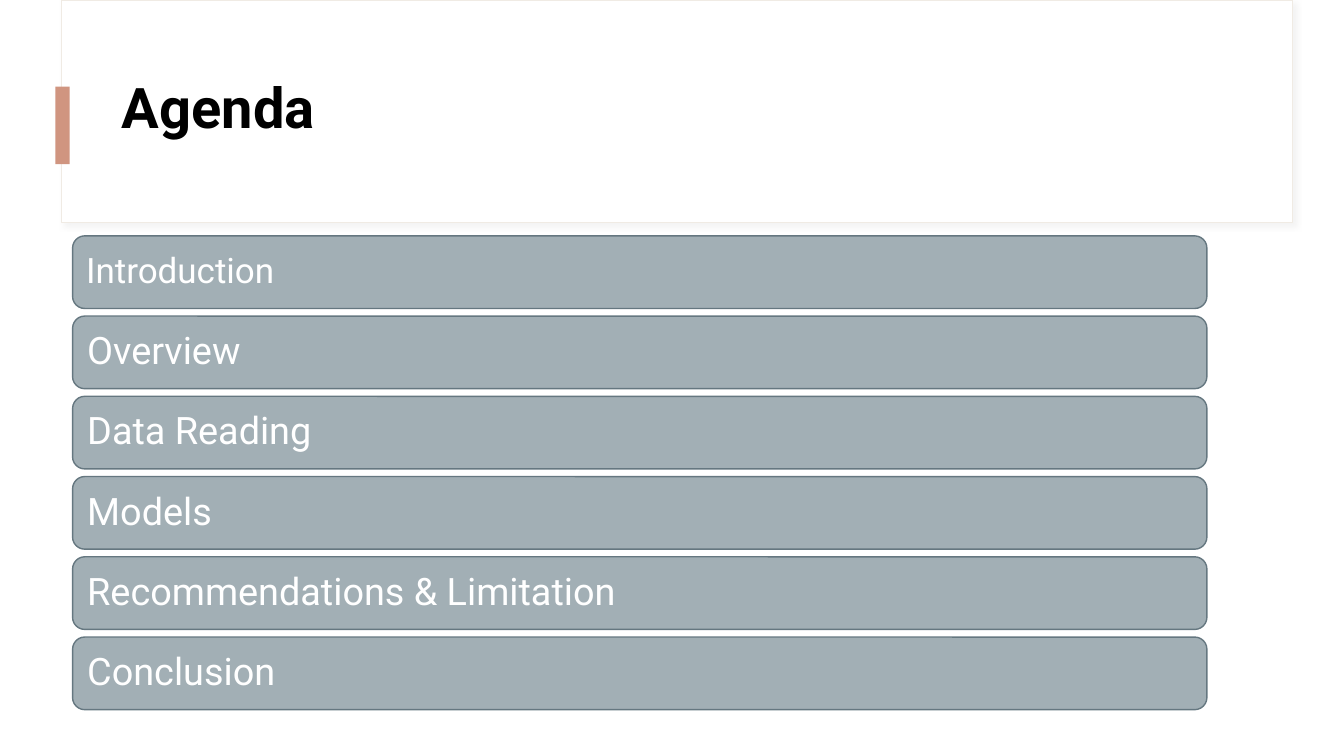
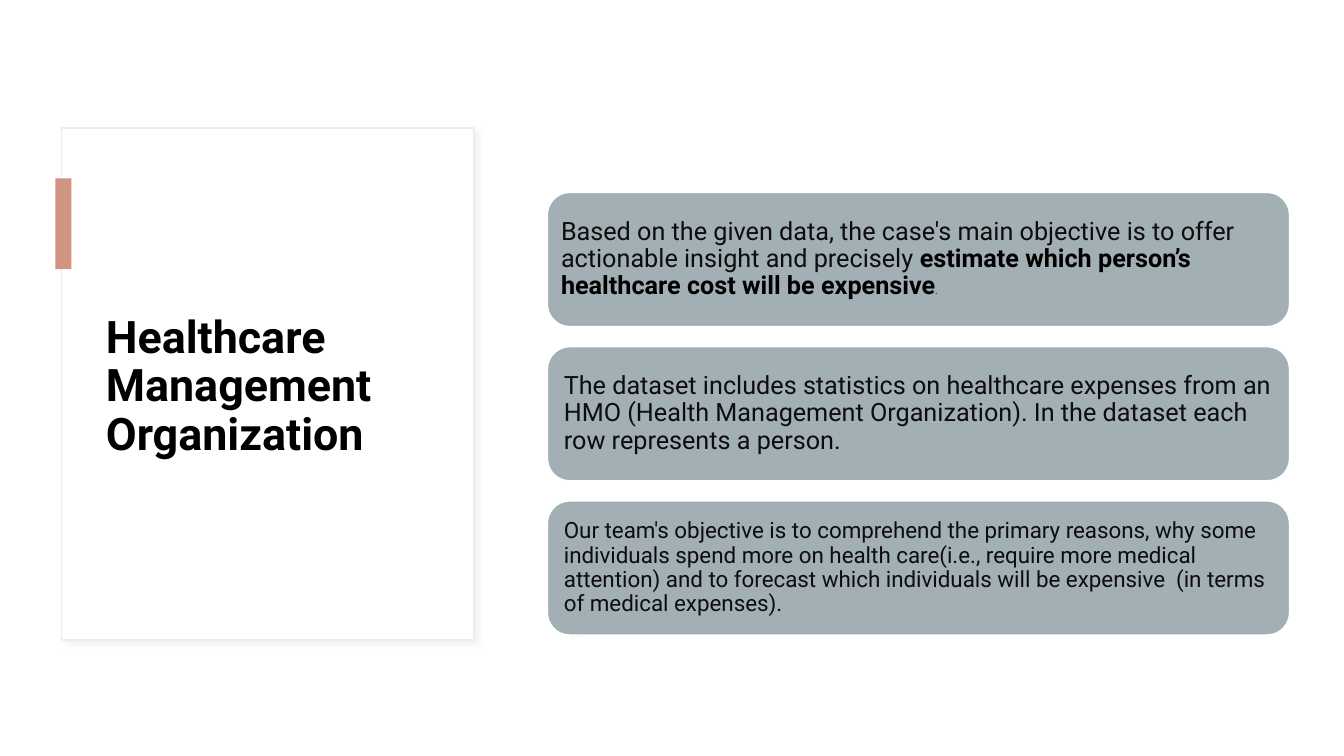
from dataclasses import dataclass

from lxml import etree
from pptx import Presentation
from pptx.dml.color import RGBColor
from pptx.enum.shapes import MSO_SHAPE as SHAPE
from pptx.enum.text import MSO_ANCHOR as ANCHOR, MSO_AUTO_SIZE as AUTO_SIZE, PP_ALIGN as ALIGN
from pptx.oxml.ns import qn
from pptx.util import Inches, Pt


@dataclass(frozen=True)
class Theme:
    font: str = "Roboto"
    white: str = "FFFFFF"
    black: str = "000000"
    body: str = "0D0D0D"
    accent: str = "D09580"
    panel_line: str = "F0EBE4"
    shadow: str = "D9D9D9"
    bar: str = "A2AFB5"
    bar_line: str = "657780"
    title_size: int = 40
    side_title_size: int = 32
    agenda_size: int = 27
    agenda_first_size: int = 25
    card_size: int = 18
    card_small_size: int = 16
    full_stop_size: int = 5


T = Theme()

AGENDA = ["Introduction", "Overview", "Data Reading", "Models",
          "Recommendations & Limitation", "Conclusion"]

# Each card: inset, text size, runs as (text, format overrides)
CARDS = [
    (0.07, T.card_size, [
        ("Based on the given data, the case's main objective is to offer "
         "actionable insight and precisely ", {}),
        ("estimate which person’s healthcare cost will be expensive",
         {"color": T.black, "bold": True}),
        (".", {"color": T.black, "bold": True, "size": T.full_stop_size})]),
    (0.1, T.card_size, [
        ("The dataset includes statistics on healthcare expenses from an HMO "
         "(Health Management Organization). In the dataset each row represents "
         "a person.", {})]),
    (0.1, T.card_small_size, [
        ("Our team's objective is to comprehend the primary reasons, why some "
         "individuals spend more on health care(i.e., require more medical "
         "attention) and to forecast which individuals will be expensive  "
         "(in terms of medical expenses).", {})]),
]


# Text
def write(shape, runs, *, size, color, bold=False, anchor=ANCHOR.MIDDLE, inset=None):
    """Fill a shape with one left-aligned paragraph of (text, overrides) runs."""
    tf = shape.text_frame
    tf.word_wrap = True
    tf.auto_size = AUTO_SIZE.NONE
    tf.vertical_anchor = anchor
    if inset is not None:
        tf.margin_left = tf.margin_right = Inches(inset)
        tf.margin_top = tf.margin_bottom = Inches(inset)
    p = tf.paragraphs[0]
    p.alignment = ALIGN.LEFT
    p.line_spacing = 0.9
    for text, overrides in runs:
        style = {"size": size, "color": color, "bold": bold, **overrides}
        r = p.add_run()
        r.text = text
        r.font.name = T.font
        r.font.size = Pt(style["size"])
        r.font.bold = style["bold"]
        r.font.color.rgb = RGBColor.from_string(style["color"])


def add_title(s, text, box, **style):
    """Place the title placeholder in front of what is already drawn."""
    title = s.shapes.title
    title.left, title.top, title.width, title.height = map(Inches, box)
    write(title, [(text, {})], color=T.black, bold=True, **style)
    s.shapes.element.append(title.element)


# Shapes
def add_box(s, box, fill, *, kind=SHAPE.RECTANGLE, line=None, line_width=1):
    sp = s.shapes.add_shape(kind, *map(Inches, box))
    sp.shadow.inherit = False
    sp.fill.solid()
    sp.fill.fore_color.rgb = RGBColor.from_string(fill)
    if line:
        sp.line.color.rgb = RGBColor.from_string(line)
        sp.line.width = Pt(line_width)
    else:
        sp.line.fill.background()
    return sp


def add_soft_shadow(sp):
    effects = sp.element.spPr.find(qn("a:effectLst"))
    shadow = etree.SubElement(effects, qn("a:outerShdw"), blurRad=str(Pt(4)),
                              dist=str(Pt(3)), dir=str(45 * 60000), rotWithShape="0")
    color = etree.SubElement(shadow, qn("a:srgbClr"), val=T.shadow)
    etree.SubElement(color, qn("a:alpha"), val="30000")


def add_panel(s, panel, marker, line_width):
    """White title panel with a soft shadow and the accent marker on its edge."""
    add_soft_shadow(add_box(s, panel, T.white, line=T.panel_line, line_width=line_width))
    add_box(s, marker, T.accent)


def add_bar(s, box, runs, *, line, **style):
    sp = add_box(s, box, T.bar, kind=SHAPE.ROUNDED_RECTANGLE, line=line)
    write(sp, runs, **style)


# Slides
def new_slide(prs):
    return prs.slides.add_slide(prs.slide_layouts[5])


def agenda_slide(prs):
    s = new_slide(prs)
    add_panel(s, (0.61, 0, 12.21, 2.21), (0.55, 0.86, 0.14, 0.77), 0.75)
    add_title(s, "Agenda", (1.11, 0.45, 11.12, 1.29), size=T.title_size)
    first, last = 2.34, 6.32
    pitch = (last - first) / (len(AGENDA) - 1)
    for i, item in enumerate(AGENDA):
        size, inset = (T.agenda_size, 0.11) if i else (T.agenda_first_size, 0.1)
        add_bar(s, (0.72, first + i * pitch, 11.25, 0.72), [(item, {})],
                line=T.bar_line, size=size, color=T.white, inset=inset)


def organization_slide(prs):
    s = new_slide(prs)
    add_panel(s, (0.61, 1.27, 4.09, 5.08), (0.55, 1.77, 0.16, 0.9), 1)
    add_title(s, "Healthcare Management Organization", (0.95, 3.07, 3.39, 2.65),
              size=T.side_title_size, anchor=ANCHOR.TOP)
    height, gap = 1.33, 0.2
    for i, (inset, size, runs) in enumerate(CARDS):
        add_bar(s, (5.43, 1.91 + i * (height + gap), 7.36, height), runs,
                line=T.white, size=size, color=T.body, inset=inset)


def main():
    prs = Presentation()
    prs.slide_width, prs.slide_height = Inches(13.33), Inches(7.5)
    agenda_slide(prs)
    organization_slide(prs)
    prs.save("out.pptx")


if __name__ == "__main__":
    main()
